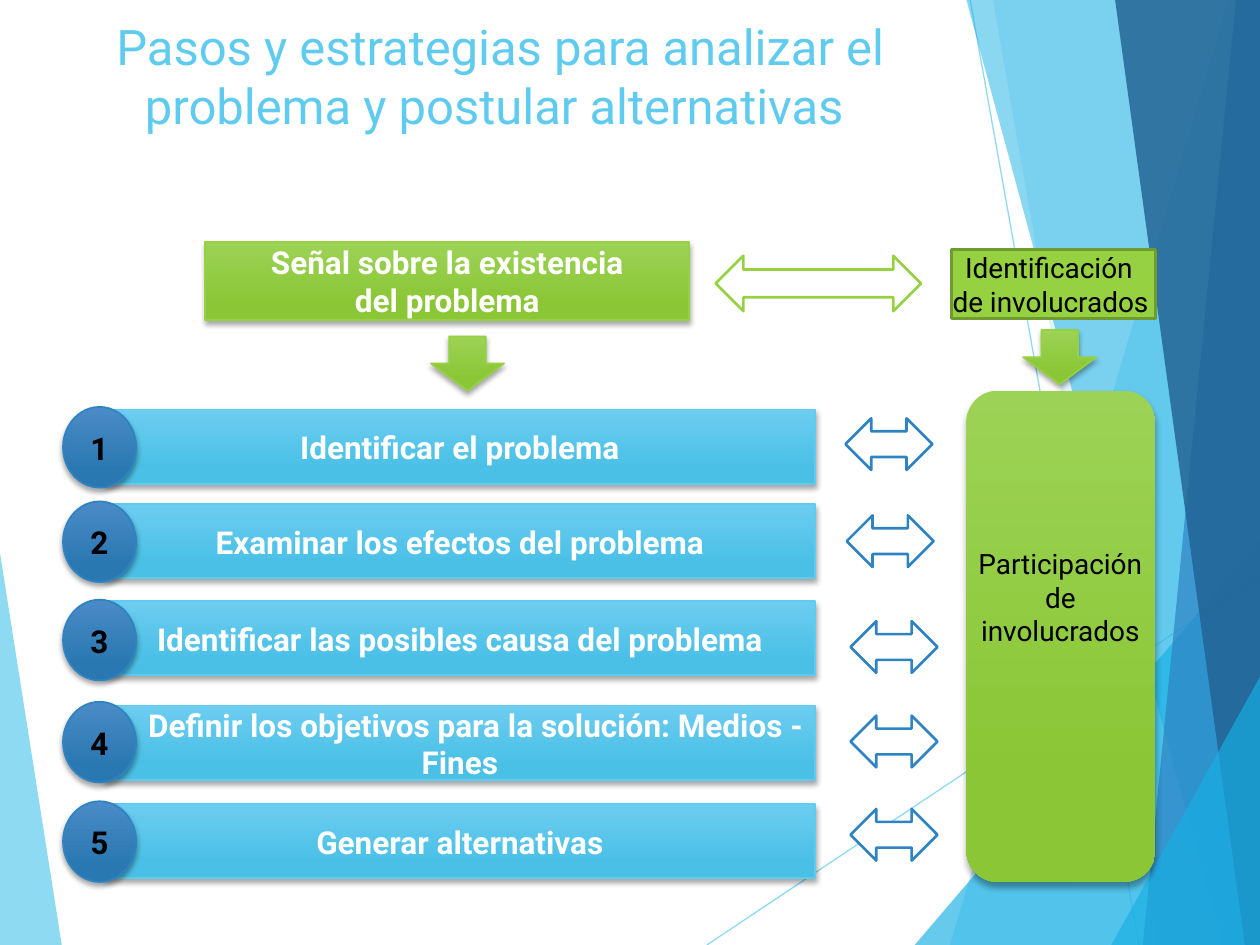
from typing import NamedTuple, Optional

from lxml import etree
from pptx import Presentation
from pptx.dml.color import RGBColor
from pptx.enum.shapes import MSO_CONNECTOR, MSO_SHAPE
from pptx.enum.text import MSO_ANCHOR, PP_ALIGN
from pptx.oxml.ns import qn
from pptx.util import Inches, Pt

RECT, ROUNDED, OVAL = MSO_SHAPE.RECTANGLE, MSO_SHAPE.ROUNDED_RECTANGLE, MSO_SHAPE.OVAL
DOUBLE_ARROW, DOWN_ARROW = MSO_SHAPE.LEFT_RIGHT_ARROW, MSO_SHAPE.DOWN_ARROW
STRAIGHT = MSO_CONNECTOR.STRAIGHT
CENTER, LEFT = PP_ALIGN.CENTER, PP_ALIGN.LEFT
TOP, MIDDLE = MSO_ANCHOR.TOP, MSO_ANCHOR.MIDDLE

FONT = "Roboto"
WHITE = RGBColor(0xFF, 0xFF, 0xFF)
BLACK = RGBColor(0x00, 0x00, 0x00)
SKY = RGBColor(0x5F, 0xCB, 0xEF)
CYAN = RGBColor(0x17, 0xB0, 0xE4)
BLUE = RGBColor(0x2E, 0x83, 0xC3)
NAVY = RGBColor(0x22, 0x62, 0x92)
GREEN = RGBColor(0x96, 0xD1, 0x41)
DARK_GREEN = RGBColor(0x6F, 0x9B, 0x30)
SKY_BLEND = (RGBColor(0x6C, 0xCD, 0xF0), RGBColor(0x4B, 0xC0, 0xE6))
BLUE_BLEND = (RGBColor(0x4A, 0x8B, 0xC6), RGBColor(0x2A, 0x78, 0xB2))
GREEN_BLEND = (RGBColor(0x9C, 0xD3, 0x56), RGBColor(0x8A, 0xC6, 0x35))


class Facet(NamedTuple):
    points: list
    color: RGBColor
    opacity: int


class Step(NamedTuple):
    text: str
    bar_top: float
    circle_top: float
    arrow_left: float
    arrow_top: float
    first_indent: float = 0


LEFT_FACET = Facet([(0, 4.39), (0.49, 7.5), (0, 7.5)], SKY, 70)
RIGHT_FACETS = [
    Facet([(9.75, 0), (7.54, 7.5), (10, 7.5), (10, 0)], SKY, 36),
    Facet([(7.88, 0), (9.19, 7.5), (10, 7.5), (10, 0)], SKY, 20),
    Facet([(7.26, 7.5), (10, 4.29), (10, 7.5)], CYAN, 66),
    Facet([(7.67, 0), (9.7, 7.5), (10, 7.5), (10, 0)], CYAN, 50),
    Facet([(9.81, 0), (9.07, 7.5), (10, 7.5), (10, 0)], BLUE, 70),
    Facet([(8.85, 0), (9.88, 7.5), (10, 7.5), (10, 0)], NAVY, 82),
    Facet([(8.82, 7.5), (10, 5.37), (10, 7.5)], CYAN, 66),
]
RAYS = [(5.61, 7.5, 10, 4.57), (7.7, 0, 9.04, 7.5)]

STEPS = [
    Step("Identificar el problema", 3.25, 3.23, 6.71, 3.32),
    Step("Examinar los efectos del problema", 4, 3.98, 6.72, 4.09),
    Step("Identificar las posibles causa del problema", 4.77, 4.76, 6.75, 4.93),
    Step("Definir los objetivos para la solución: Medios - Fines",
         5.6, 5.57, 6.75, 5.68, 0.25),
    Step("Generar alternativas", 6.38, 6.36, 6.75, 6.42),
]


def set_opacity(drawn, percent: int) -> None:
    for color in drawn._element.spPr.iter(qn("a:srgbClr")):
        etree.SubElement(color, qn("a:alpha"), val=str(percent * 1000))


def add_facet(shapes, facet: Facet) -> None:
    corners = [(Inches(x), Inches(y)) for x, y in facet.points]
    builder = shapes.build_freeform(*corners[0])
    builder.add_line_segments(corners[1:])
    outline = builder.convert_to_shape()
    outline.shadow.inherit = False
    outline.fill.solid()
    outline.fill.fore_color.rgb = facet.color
    outline.line.fill.background()
    set_opacity(outline, facet.opacity)


def add_ray(shapes, ends: tuple) -> None:
    ray = shapes.add_connector(STRAIGHT, *map(Inches, ends))
    ray.line.color.rgb = SKY
    ray.line.width = Pt(0.75)
    set_opacity(ray, 70)
    etree.SubElement(ray._element.spPr, qn("a:effectLst"))


def add_soft_shadow(shape, blur: float, distance: float) -> None:
    effects = shape._element.spPr.find(qn("a:effectLst"))
    shadow = etree.SubElement(
        effects, qn("a:outerShdw"), blurRad=str(Pt(blur)), dist=str(Pt(distance)),
        dir="5400000", rotWithShape="0")
    color = etree.SubElement(shadow, qn("a:srgbClr"), val="000000")
    etree.SubElement(color, qn("a:alpha"), val="35000")


def add_block(shapes, kind, box: tuple, line: Optional[RGBColor], line_width: float = 1,
              blend: Optional[tuple] = None, fill: RGBColor = WHITE,
              shadow: tuple = (3, 2)):
    """Draw a preset shape; blended ones also cast a soft shadow."""
    block = shapes.add_shape(kind, *map(Inches, box))
    block.shadow.inherit = False
    if blend:
        block.fill.gradient()
        block.fill.gradient_angle = 270
        for stop, color, position in zip(block.fill.gradient_stops, blend, (0, 0.78)):
            stop.color.rgb = color
            stop.position = position
        add_soft_shadow(block, *shadow)
    else:
        block.fill.solid()
        block.fill.fore_color.rgb = fill
    if line is None:
        block.line.fill.background()
    else:
        block.line.color.rgb = line
        block.line.width = Pt(line_width)
    return block


def write(shape, lines: list, size: float, color: RGBColor, bold: bool = False,
          align=CENTER, anchor=MIDDLE) -> None:
    frame = shape.text_frame
    frame.word_wrap = True
    frame.vertical_anchor = anchor
    frame.margin_left = frame.margin_right = frame.margin_bottom = 0
    frame.margin_top = Inches(0.01)
    frame.text = "\n".join(lines)
    for paragraph in frame.paragraphs:
        paragraph.alignment = align
        paragraph.font.name = FONT
        paragraph.font.size = Pt(size)
        paragraph.font.bold = bold
        paragraph.font.color.rgb = color


def add_step(shapes, number: int, step: Step) -> None:
    bar = add_block(shapes, RECT, (0.83, step.bar_top, 5.64, 0.59), SKY, blend=SKY_BLEND)
    write(bar, [step.text], 18, WHITE, bold=True)
    if step.first_indent:
        properties = bar.text_frame.paragraphs[0]._p.get_or_add_pPr()
        properties.set("marL", "0")
        properties.set("indent", str(Inches(step.first_indent)))
    circle = add_block(shapes, OVAL, (0.5, step.circle_top, 0.58, 0.64), BLUE,
                       blend=BLUE_BLEND)
    write(circle, [str(number)], 18, BLACK, bold=True)
    add_block(shapes, DOUBLE_ARROW, (step.arrow_left, step.arrow_top, 0.69, 0.41), BLUE, 1.5)


def main() -> None:
    deck = Presentation()
    deck.slide_width, deck.slide_height = Inches(10), Inches(7.5)
    slide = deck.slides.add_slide(deck.slide_layouts[5])
    shapes = slide.shapes

    # Faceted background
    add_facet(shapes, LEFT_FACET)
    for ends in RAYS:
        add_ray(shapes, ends)
    for facet in RIGHT_FACETS:
        add_facet(shapes, facet)

    # Title
    title = shapes.title
    title.left, title.top, title.width, title.height = map(Inches, (0.5, 0.08, 6.94, 1.44))
    write(title, ["Pasos y estrategias para analizar el problema y postular alternativas "],
          28, SKY, anchor=TOP)
    title.text_frame.margin_top = Inches(0.05)

    # Problem signal and the people involved
    signal = add_block(shapes, RECT, (1.63, 1.92, 3.84, 0.62), GREEN, blend=GREEN_BLEND)
    write(signal, ["Señal sobre la existencia", "del problema"], 18, WHITE,
          bold=True, anchor=TOP)
    involved = add_block(shapes, RECT, (7.55, 1.98, 1.62, 0.55), DARK_GREEN, 1.5, fill=GREEN)
    write(involved, ["Identificación", "de involucrados"], 16, BLACK, align=LEFT, anchor=TOP)
    for paragraph, indent in zip(involved.text_frame.paragraphs, (0.11, 0.01)):
        paragraph._p.get_or_add_pPr().set("marL", str(Inches(indent)))
    add_block(shapes, DOUBLE_ARROW, (5.68, 2.03, 1.63, 0.44), GREEN, 1.5)

    # Participation panel
    add_block(shapes, ROUNDED, (7.67, 3.1, 1.5, 3.9), None, blend=GREEN_BLEND, shadow=(4, 3))
    participation = shapes.add_textbox(*map(Inches, (7.74, 4.33, 1.35, 0.82)))
    write(participation, ["Participación de involucrados"], 16, BLACK, anchor=TOP)

    # Numbered steps
    for number, step in enumerate(STEPS, start=1):
        add_step(shapes, number, step)

    # Arrows leading down from the top row
    for left, top in ((3.42, 2.67), (8.12, 2.62)):
        add_block(shapes, DOWN_ARROW, (left, top, 0.58, 0.43), GREEN, blend=GREEN_BLEND)

    deck.save("out.pptx")


if __name__ == "__main__":
    main()
